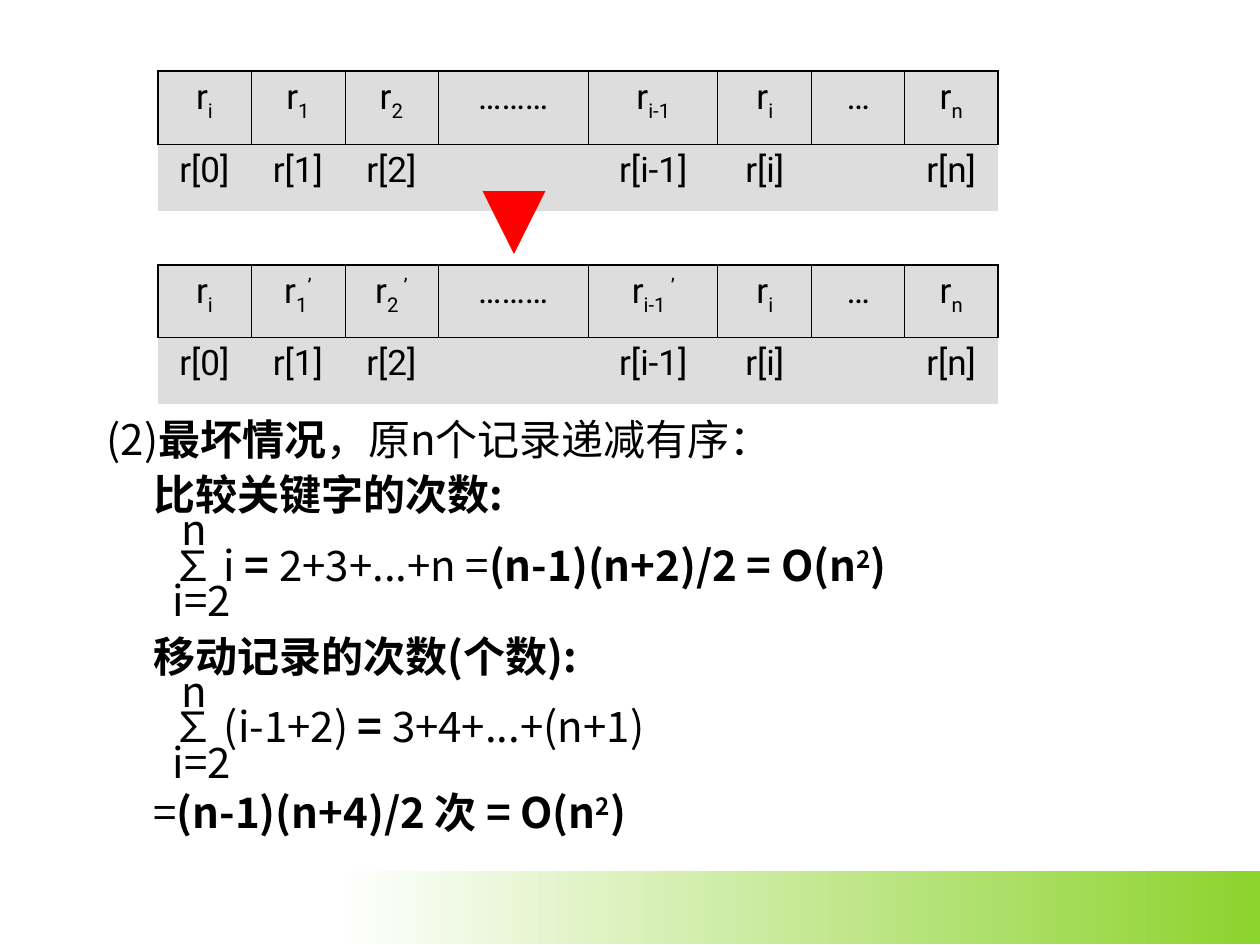
import pptx
import pptx.dml.color
import pptx.enum.shapes
import pptx.enum.text
import pptx.oxml
import pptx.oxml.ns
import pptx.util

BLACK = pptx.dml.color.RGBColor(0x00, 0x00, 0x00)
WHITE = pptx.dml.color.RGBColor(0xFF, 0xFF, 0xFF)
GREEN = pptx.dml.color.RGBColor(0x8C, 0xD3, 0x2D)
GREY = pptx.dml.color.RGBColor(0xDD, 0xDD, 0xDD)
RED = pptx.dml.color.RGBColor(0xFF, 0x00, 0x00)

EMU_PER_PX = 914400 / 126
NO_GRID_STYLE = "{2D5ABB26-0587-4C30-8999-92F81FD0307C}"
THIN, THICK = 0.45, 1.08
LINE_UNIT = 28.8  # points in one single-spaced line of the body

TABLE_LEFT = 158
COLUMN_WIDTHS = [93, 94, 93, 94, 57, 129, 94, 93, 93]
DOTS_COLUMN = 3  # spans two columns in the top row
INDEX_ROW = ["r[0]", "r[1]", "r[2]", "", "", "r[i-1]", "r[i]", "", "r[n]"]


def px(length):
    return pptx.util.Emu(round(length * EMU_PER_PX))


def xml(tag, content="", **attributes):
    """Build one DrawingML element."""
    listed = "".join(f' {name}="{value}"' for name, value in attributes.items())
    namespace = pptx.oxml.ns.nsdecls("a")
    return pptx.oxml.parse_xml(f"<a:{tag} {namespace}{listed}>{content}</a:{tag}>")


def record(subscript, prime=""):
    """Runs of a record name such as r with a subscript and an optional prime."""
    runs = [("r", ""), (subscript, "sub")]
    return runs + [(prime, "sup")] if prime else runs


class SlideBuilder:
    BASELINES = {"sub": -25000, "sup": 30000, "bold sup": 30000}

    def __init__(self, slide):
        self.slide = slide
        self.body_font = {"name": "Noto Sans CJK SC", "size": pptx.util.Pt(24)}
        self.table_font = {"name": "Roboto", "size": pptx.util.Pt(20)}

    def runs(self, para, runs, font_format):
        for text, style in runs:
            span = para.add_run()
            span.text = text
            for name, value in {**font_format, "bold": "bold" in style}.items():
                setattr(span.font, name, value)
            span.font.color.rgb = BLACK
            properties = span.font._element
            properties.append(xml("ea", typeface=font_format["name"]))
            if style in self.BASELINES:
                properties.set("baseline", str(self.BASELINES[style]))

    def gradient_band(self, left, top, width, height):
        band = self.slide.shapes.add_shape(
            pptx.enum.shapes.MSO_SHAPE.RECTANGLE, px(left), px(top), px(width), px(height))
        band.shadow.inherit = False
        band.line.fill.background()
        band.fill.gradient()
        band.fill.gradient_angle = 0
        for stop, color, position in zip(band.fill.gradient_stops, (WHITE, GREEN), (0, 1)):
            stop.color.rgb = color
            stop.position = position
        self.slide.shapes._spTree.insert(2, band._element)

    def body(self, left, top, width, height, lines):
        """Fill the body placeholder; a line is (indent px, spacing factor, runs)."""
        box = self.slide.placeholders[1]
        place = {"left": left, "top": top, "width": width, "height": height}
        for name, value in place.items():
            setattr(box, name, px(value))
        frame = box.text_frame
        frame_format = {
            "word_wrap": True,
            "auto_size": pptx.enum.text.MSO_AUTO_SIZE.NONE,
            "vertical_anchor": pptx.enum.text.MSO_ANCHOR.TOP,
            "margin_top": px(9),
        }
        for name, value in frame_format.items():
            setattr(frame, name, value)
        for number, (indent, spacing, runs) in enumerate(lines):
            para = frame.add_paragraph() if number else frame.paragraphs[0]
            para.line_spacing = pptx.util.Pt(round(LINE_UNIT * spacing, 1))
            para.space_before = pptx.util.Pt(0)
            properties = para._p.get_or_add_pPr()
            properties.set("marL", str(px(indent)))
            properties.set("indent", "0")
            properties.append(xml("buNone"))
            self.runs(para, runs, self.body_font)

    def cell(self, cell, runs):
        cell.fill.solid()
        cell.fill.fore_color.rgb = GREY
        para = cell.text_frame.paragraphs[0]
        para.alignment = pptx.enum.text.PP_ALIGN.CENTER
        para.space_before = pptx.util.Pt(5)
        self.runs(para, runs, self.table_font)

    def borders(self, cell, **widths):
        """Draw borders; the keywords are L, R, T, B in schema order, in points."""
        properties = cell._tc.get_or_add_tcPr()
        fill = f'<a:solidFill><a:srgbClr val="{BLACK}"/></a:solidFill>'
        for position, (side, width) in enumerate(widths.items()):
            properties.insert(position, xml(f"ln{side}", fill, w=pptx.util.Pt(width)))

    def record_table(self, top, row_heights, records):
        frame = self.slide.shapes.add_table(
            2, len(COLUMN_WIDTHS), px(TABLE_LEFT), px(top),
            px(sum(COLUMN_WIDTHS)), px(sum(row_heights)))
        table = frame.table
        table.first_row = table.horz_banding = False
        table._tbl.tblPr.find(pptx.oxml.ns.qn("a:tableStyleId")).text = NO_GRID_STYLE
        for column, width in zip(table.columns, COLUMN_WIDTHS):
            column.width = px(width)
        for row, height in zip(table.rows, row_heights):
            row.height = px(height)
        last = len(COLUMN_WIDTHS) - 1
        for column, (runs, index) in enumerate(zip(records, INDEX_ROW)):
            upper = table.cell(0, column)
            self.cell(upper, runs)
            self.borders(upper, L=THIN if column else THICK,
                         R=THICK if column == last else THIN, T=THICK, B=THIN)
            self.cell(table.cell(1, column), [(index, "")] if index else [])
        table.cell(0, DOTS_COLUMN).merge(table.cell(0, DOTS_COLUMN + 1))

    def arrow(self, start, end, color, width):
        line = self.slide.shapes.add_connector(
            pptx.enum.shapes.MSO_CONNECTOR.STRAIGHT, *map(px, start + end))
        line.line.color.rgb = color
        line.line.width = pptx.util.Pt(width)
        line.line._get_or_add_ln().append(xml("tailEnd", type="triangle"))
        line._element.spPr.append(xml("effectLst"))


def sum_lines(term):
    """Three tight lines of a sum over i from 2 to n."""
    return [(75, 0.7, [("n", "")]), (66, 0.7, term), (66, 0.7, [("i=2", "")])]


def main():
    deck = pptx.Presentation()
    deck.slide_width, deck.slide_height = px(1260), px(945)
    slide = deck.slides.add_slide(deck.slide_layouts[1])
    title = slide.shapes.title._element
    title.getparent().remove(title)
    builder = SlideBuilder(slide)

    builder.gradient_band(336, 871, 924, 73)

    square = [("2", "bold sup"), (")", "bold")]
    comparisons = [("∑ i ", ""), ("=", "bold"), (" 2+3+...+n =", ""),
                   ("(n-1)(n+2)/2 = O(n", "bold")] + square
    moves = [("∑ (i-1+2) ", ""), ("=", "bold"), (" 3+4+...+(n+1)", "")]
    builder.body(94, 399, 1018, 490, [
        (0, 1.1, [("(2)", ""), ("最坏情况", "bold"), ("，原n个记录递减有序：", "")]),
        (47, 1.1, [("比较关键字的次数:", "bold")]),
        *sum_lines(comparisons),
        (47, 1.1, [("移动记录的次数(个数):", "bold")]),
        *sum_lines(moves),
        (47, 1, [("=", ""), ("(n-1)(n+4)/2 次 = O(n", "bold")] + square),
    ])

    dots = [[("………", "")], []]
    tail = [record("i"), [("…", "")], record("n")]
    before = [record("i"), record("1"), record("2"), *dots, record("i-1"), *tail]
    after = [record("i"), record("1", "’"), record("2 ", "’"), *dots,
             record("i-1 ", "’"), *tail]
    builder.record_table(71, (73, 67), before)
    builder.record_table(265, (72, 67), after)

    builder.arrow((514, 191), (514, 254), RED, 12)
    deck.save("out.pptx")


if __name__ == "__main__":
    main()
